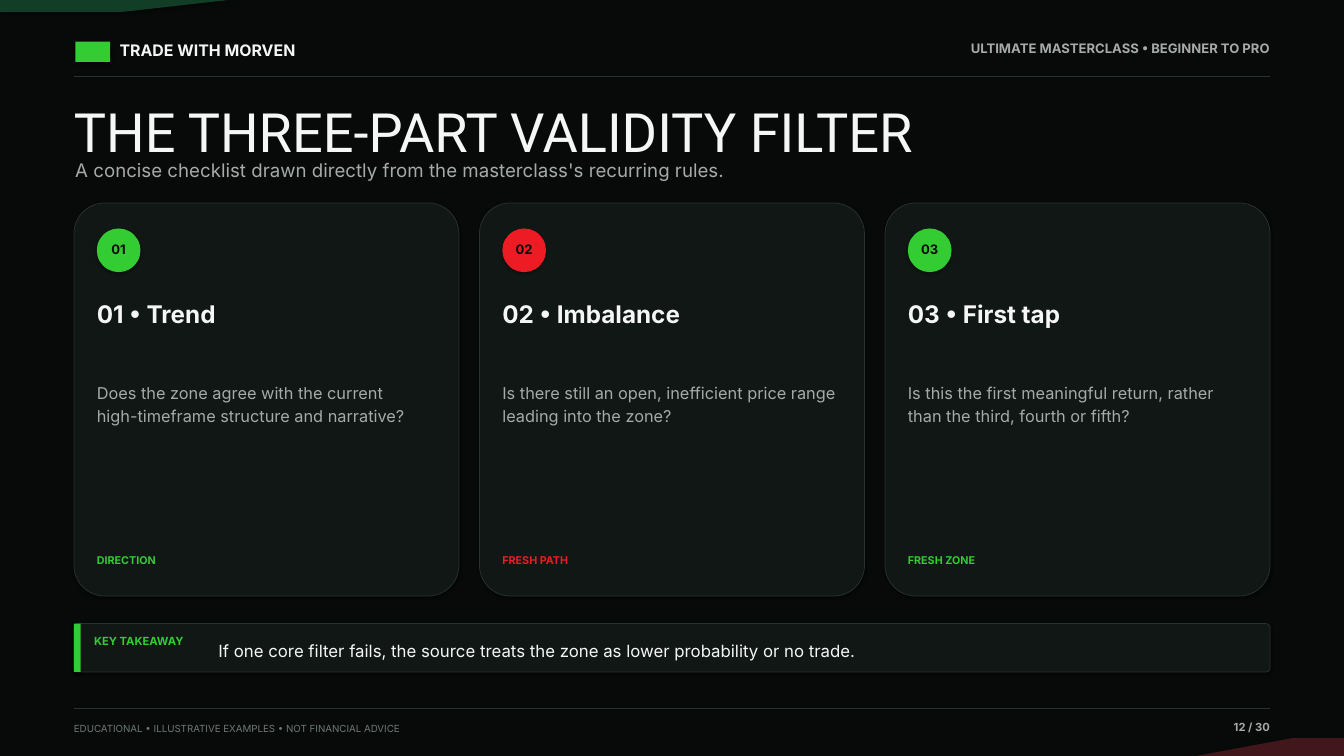
from lxml import etree
from pptx import Presentation
from pptx import util as u
from pptx.dml.color import RGBColor
from pptx.enum import shapes, text
from pptx.oxml import ns

COLORS = {
    "page": "070A09",
    "card": "111715",
    "rule": "28332E",
    "white": "F5F7F6",
    "grey": "A6AAA8",
    "dim": "6F7873",
    "green": "33CC33",
    "red": "ED1C24",
    "dark_green": "123D26",
    "dark_red": "42171B",
}
CARDS = [
    ("Trend", "green", "DIRECTION",
     ["Does the zone agree with the current", "high-timeframe structure and narrative?"]),
    ("Imbalance", "red", "FRESH PATH",
     ["Is there still an open, inefficient price range", "leading into the zone?"]),
    ("First tap", "green", "FRESH ZONE",
     ["Is this the first meaningful return, rather", "than the third, fourth or fifth?"]),
]
LEFT, WIDTH = 1.1, 17.8
CARD_W, CARD_STEP = 5.73, 6.035


def color(name):
    return RGBColor.from_string(COLORS[name])


def write(tf, lines, size=12, fill="white", bold=False, font="Inter", align="LEFT", spacing=1.18):
    for i, line in enumerate(lines):
        p = tf.paragraphs[0] if i == 0 else tf.add_paragraph()
        p.alignment = getattr(text.PP_ALIGN, align)
        p.line_spacing = spacing
        r = p.add_run()
        r.text = line
        r.font.name = font
        r.font.size = u.Pt(size)
        r.font.bold = bold
        r.font.color.rgb = color(fill)


class Deck:
    def __init__(self, prs):
        self.prs = prs
        self.s = None

    def add_slide(self):
        self.s = self.prs.slides.add_slide(self.prs.slide_layouts[6])

    def finish(self, sp, fill, line=None):
        sp.fill.solid()
        sp.fill.fore_color.rgb = color(fill)
        if line:
            sp.line.color.rgb = color(line)
            sp.line.width = u.Pt(0.8)
        else:
            sp.line.fill.background()
        sp.shadow.inherit = False
        effects = sp._element.spPr.find(ns.qn("a:effectLst"))
        shadow = etree.SubElement(effects, ns.qn("a:outerShdw"), blurRad=str(u.Pt(3.1)),
                                  dist=str(u.Pt(1.8)), dir="5400000", rotWithShape="0")
        black = etree.SubElement(shadow, ns.qn("a:srgbClr"), val="000000")
        etree.SubElement(black, ns.qn("a:alpha"), val="35000")

    def shape(self, kind, x, y, w, h, fill, line=None, radius=None):
        sp = self.s.shapes.add_shape(getattr(shapes.MSO_SHAPE, kind),
                                     u.Inches(x), u.Inches(y), u.Inches(w), u.Inches(h))
        if radius is not None:
            sp.adjustments[0] = radius
        self.finish(sp, fill, line)

    def polygon(self, points, fill):
        pts = [(u.Inches(x), u.Inches(y)) for x, y in points]
        builder = self.s.shapes.build_freeform(*pts[0], scale=1.0)
        builder.add_line_segments(pts[1:], close=True)
        self.finish(builder.convert_to_shape(), fill)

    def rule(self, y):
        sp = self.s.shapes.add_connector(shapes.MSO_CONNECTOR.STRAIGHT, u.Inches(LEFT), u.Inches(y),
                                         u.Inches(LEFT + WIDTH), u.Inches(y))
        sp.line.color.rgb = color("rule")
        sp.line.width = u.Pt(0.8)
        etree.SubElement(sp._element.spPr, ns.qn("a:effectLst"))

    def text(self, x, y, w, h, *lines, anchor="TOP", **style):
        sp = self.s.shapes.add_textbox(u.Inches(x), u.Inches(y), u.Inches(w), u.Inches(h))
        tf = sp.text_frame
        tf.margin_left = tf.margin_right = tf.margin_top = tf.margin_bottom = 0
        tf.word_wrap = False
        tf.auto_size = text.MSO_AUTO_SIZE.SHAPE_TO_FIT_TEXT
        tf.vertical_anchor = getattr(text.MSO_ANCHOR, anchor)
        write(tf, lines, **style)

    def card(self, x, number, title, accent, tag, body):
        inner = x + 0.34
        self.shape("ROUNDED_RECTANGLE", x, 3.02, CARD_W, 5.85, "card", "rule", 0.08)
        self.shape("OVAL", inner, 3.4, 0.65, 0.65, accent)
        self.text(inner + 0.02, 3.55, 0.61, 0.25, number,
                  size=14, fill="page", bold=True, align="CENTER")
        self.text(inner, 4.38, 5.05, 1.02, f"{number} • {title}", size=26, bold=True)
        self.text(inner, 5.65, 5.05, 2.3, *body, size=17.5, fill="grey")
        self.text(inner, 8.2, 5.05, 0.3, tag, size=11.5, fill=accent, bold=True)


def main():
    prs = Presentation()
    prs.slide_width, prs.slide_height = u.Inches(20), u.Inches(11.25)
    deck = Deck(prs)
    deck.add_slide()

    deck.shape("RECTANGLE", 0, 0, 20, 11.25, "page")
    deck.polygon([(0, 0), (3.4, 0), (1.8, 0.18), (0, 0.18)], "dark_green")
    deck.polygon([(20, 11.25), (17.8, 11.25), (19.25, 10.98), (20, 10.98)], "dark_red")

    deck.shape("RECTANGLE", 1.12, 0.62, 0.52, 0.3, "green")
    deck.text(1.78, 0.56, 3.9, 0.34, "TRADE WITH MORVEN", size=17, bold=True)
    deck.text(14, 0.56, 4.9, 0.32, "ULTIMATE MASTERCLASS • BEGINNER TO PRO",
              size=14, fill="grey", bold=True, align="RIGHT")
    deck.rule(1.13)
    deck.rule(10.54)
    deck.text(LEFT, 10.72, 8, 0.25, "EDUCATIONAL • ILLUSTRATIVE EXAMPLES • NOT FINANCIAL ADVICE",
              size=10.5, fill="dim")
    deck.text(17.2, 10.68, 1.7, 0.28, "12 / 30", fill="grey", bold=True, align="RIGHT")

    deck.text(LEFT, 1.46, WIDTH, 0.88, "THE THREE-PART VALIDITY FILTER",
              size=58, font="Roboto", spacing=1.0)
    deck.text(1.12, 2.3, 17.2, 0.43,
              "A concise checklist drawn directly from the masterclass's recurring rules.",
              size=20, fill="grey")

    for i, (title, accent, tag, body) in enumerate(CARDS):
        deck.card(LEFT + i * CARD_STEP, f"{i + 1:02d}", title, accent, tag, body)

    deck.shape("ROUNDED_RECTANGLE", LEFT, 9.28, WIDTH, 0.72, "card", "rule", 0.08)
    deck.shape("RECTANGLE", LEFT, 9.28, 0.1, 0.72, "green")
    deck.text(1.4, 9.41, 1.85, 0.26, "KEY TAKEAWAY", fill="green", bold=True)
    deck.text(3.25, 9.38, 15.38, 0.56,
              "If one core filter fails, the source treats the zone as lower probability or no trade.",
              size=18, anchor="MIDDLE")
    prs.save("out.pptx")


if __name__ == "__main__":
    main()
